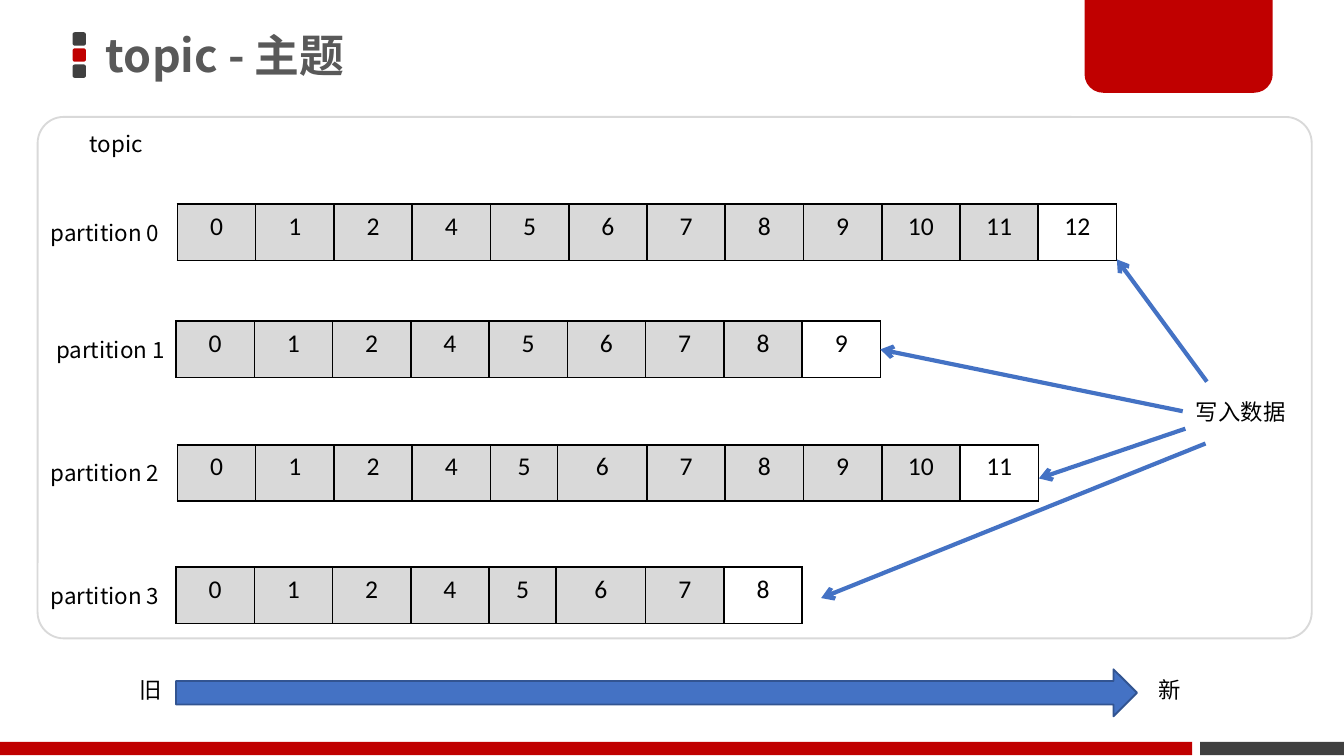
from lxml import etree
from pptx import Presentation
from pptx.dml.color import RGBColor
from pptx.enum import shapes, text
from pptx.oxml import ns
from pptx.util import Inches, Pt

HUES = {"red": "C00000", "dark": "404040", "title": "595959", "black": "000000",
        "gray": "D9D9D9", "blue": "4472C4", "navy": "325491"}
SANS = "Noto Sans CJK SC"
KIND = shapes.MSO_SHAPE


def hue(name):
    return RGBColor.from_string(HUES[name])


def sub(node, tag, **attrs):
    return etree.SubElement(node, ns.qn(tag), **attrs)


def write(frame, words, size=12, font=SANS, color="black", bold=False,
          align=None, space=None):
    para = frame.paragraphs[0]
    para.alignment = align
    para.line_spacing = space
    run = para.add_run()
    run.text = words
    run.font.size = Pt(size)
    run.font.bold = bold
    run.font.color.rgb = hue(color)
    run.font.name = font
    sub(run.font._element, "a:ea", typeface=font)


class Deck:
    def __init__(self):
        self.show = Presentation()
        self.show.slide_width = Inches(10)
        self.show.slide_height = Inches(10 * 9 / 16)
        self.slide = self.show.slides.add_slide(self.show.slide_layouts[6])

    def shape(self, kind, box, fill=None, line=None, adj=()):
        item = self.slide.shapes.add_shape(kind, *map(Inches, box))
        item.shadow.inherit = False
        for i, size in enumerate(adj):
            item.adjustments[i] = size
        if fill:
            item.fill.solid()
            item.fill.fore_color.rgb = hue(fill)
        else:
            item.fill.background()
        if line:
            item.line.color.rgb = hue(line)
            item.line.width = Pt(1)
        else:
            item.line.fill.background()

    def label(self, words, box, wrap=True, anchor=text.MSO_ANCHOR.TOP, **form):
        frame = self.slide.shapes.add_textbox(*map(Inches, box)).text_frame
        frame.word_wrap = wrap
        frame.vertical_anchor = anchor
        write(frame, words, **form)

    def arrow(self, start, end):
        line = self.slide.shapes.add_connector(
            shapes.MSO_CONNECTOR.STRAIGHT, *map(Inches, start + end))
        line.line.color.rgb = hue("blue")
        line.line.width = Pt(2.25)
        sub(line.line._get_or_add_ln(), "a:tailEnd", type="arrow")
        sub(line._element.spPr, "a:effectLst")

    def border(self, cell):
        props = cell._tc.get_or_add_tcPr()
        for side in "LRTB":
            line = sub(props, f"a:ln{side}", w=str(Pt(1)))
            sub(sub(line, "a:solidFill"), "a:srgbClr", val=HUES["black"])

    def queue(self, left, top, marks, widths):
        table = self.slide.shapes.add_table(
            1, len(marks), Inches(left), Inches(top),
            Inches(sum(widths)), Inches(0.42)).table
        table.first_row = table.horz_banding = False
        for i, (mark, width) in enumerate(zip(marks, widths)):
            table.columns[i].width = Inches(width)
            cell = table.cell(0, i)
            self.border(cell)
            if mark == marks[-1]:
                cell.fill.background()
            else:
                cell.fill.solid()
                cell.fill.fore_color.rgb = hue("gray")
            write(cell.text_frame, str(mark), size=13.7, font="Calibri",
                  align=text.PP_ALIGN.CENTER)


def main():
    deck = Deck()
    for i, color in enumerate(("dark", "red", "dark")):
        deck.shape(KIND.ROUNDED_RECTANGLE, (0.54, 0.24 + 0.12 * i, 0.1, 0.1),
                   color, adj=[0.17])
    deck.shape(KIND.RECTANGLE, (8.93, 5.52, 1.07, 0.1), "dark")
    deck.shape(KIND.ROUND_2_SAME_RECTANGLE, (8.07, 0, 1.4, 0.69), "red",
               adj=[0, 0.2])
    deck.shape(KIND.RECTANGLE, (0, 5.52, 8.87, 0.1), "red")
    deck.label("topic - 主题", (0.69, 0, 8.63, 0.87), size=24, color="title",
               bold=True, space=0.9, anchor=text.MSO_ANCHOR.MIDDLE)

    wide = 6.99 / 12
    even = [wide] * 12
    mixed = [wide] * 4 + [0.5, 2 * wide - 0.5] + [wide] * 6
    rows = [(1.32, 1.52, 12, even, 0.28), (1.31, 2.39, 9, even, 0.32),
            (1.32, 3.31, 11, mixed, 0.28), (1.31, 4.22, 8, mixed, 0.28)]
    for i, (left, top, last, widths, edge) in enumerate(rows):
        marks = [n for n in range(last + 1) if n != 3]
        deck.queue(left, top, marks, widths[:len(marks)])
        deck.label(f"partition {i}", (edge, top + 0.06, 1.13, 0.3))

    deck.label("写入数据", (8.8, 2.91, 0.97, 0.3))
    deck.shape(KIND.RIGHT_ARROW, (1.31, 4.98, 7.15, 0.35), "blue", "navy")
    for words, left in (("旧", 0.94), ("新", 8.52)):
        deck.label(words, (left, 4.98, 0.37, 0.3), wrap=False)
    for start, end in (((8.98, 2.84), (8.31, 1.93)),
                       ((8.8, 3.06), (6.55, 2.6)),
                       ((8.82, 3.19), (7.73, 3.56)),
                       ((8.97, 3.3), (6.11, 4.45))):
        deck.arrow(start, end)
    deck.shape(KIND.ROUNDED_RECTANGLE, (0.28, 0.87, 9.48, 3.88), line="gray",
               adj=[0.05])
    deck.label("topic", (0.57, 0.92, 1.71, 0.3))
    deck.show.save("out.pptx")


if __name__ == "__main__":
    main()
